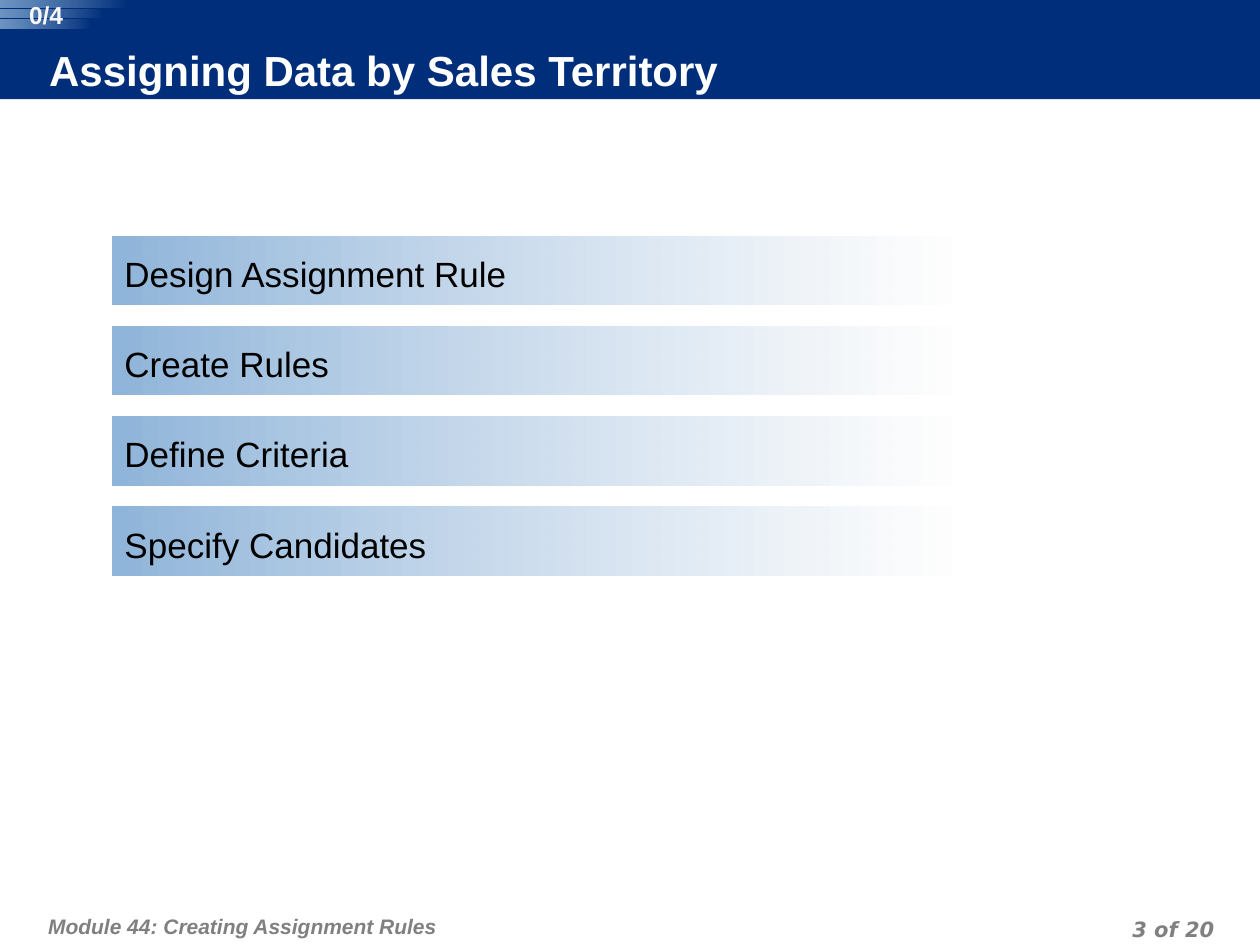
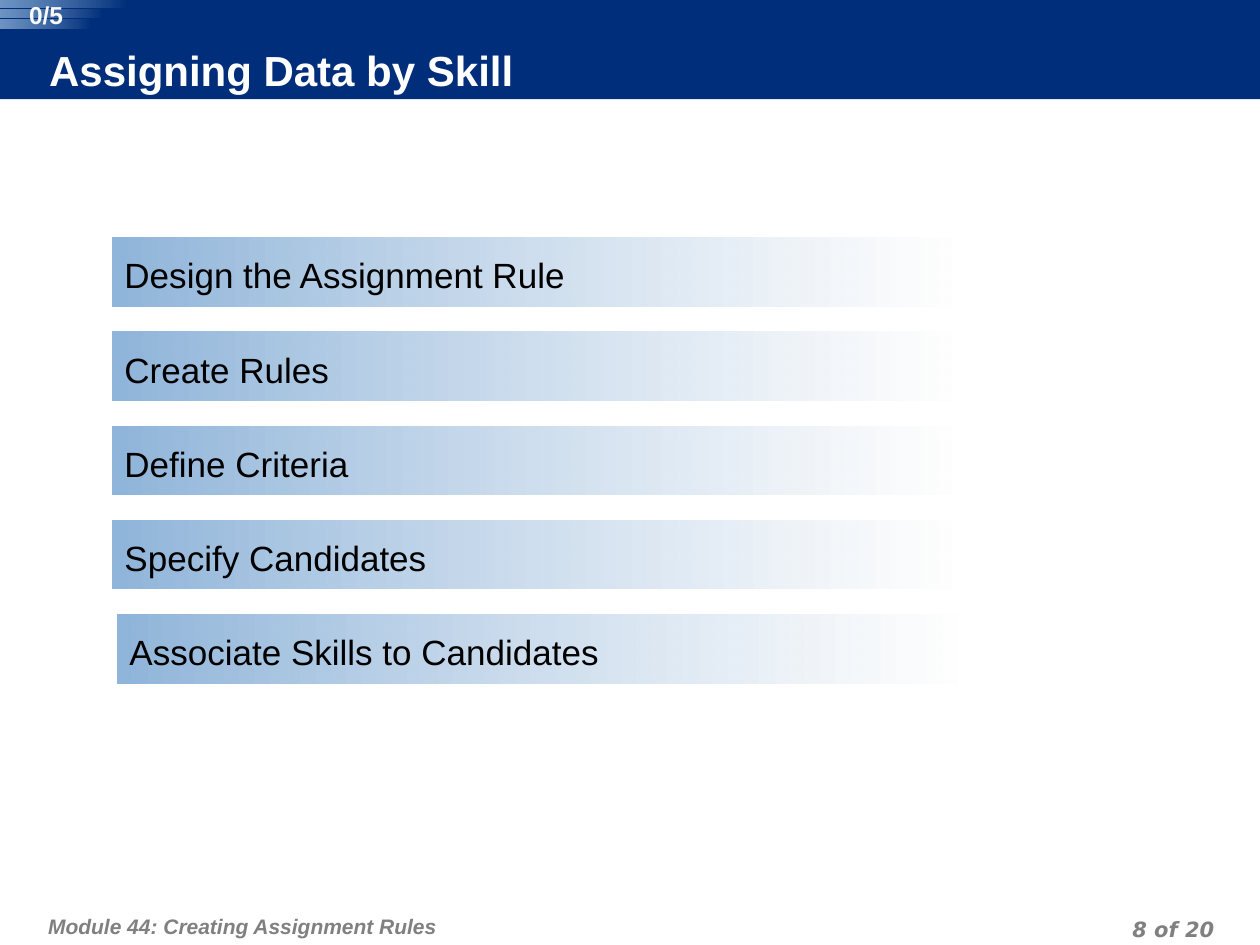
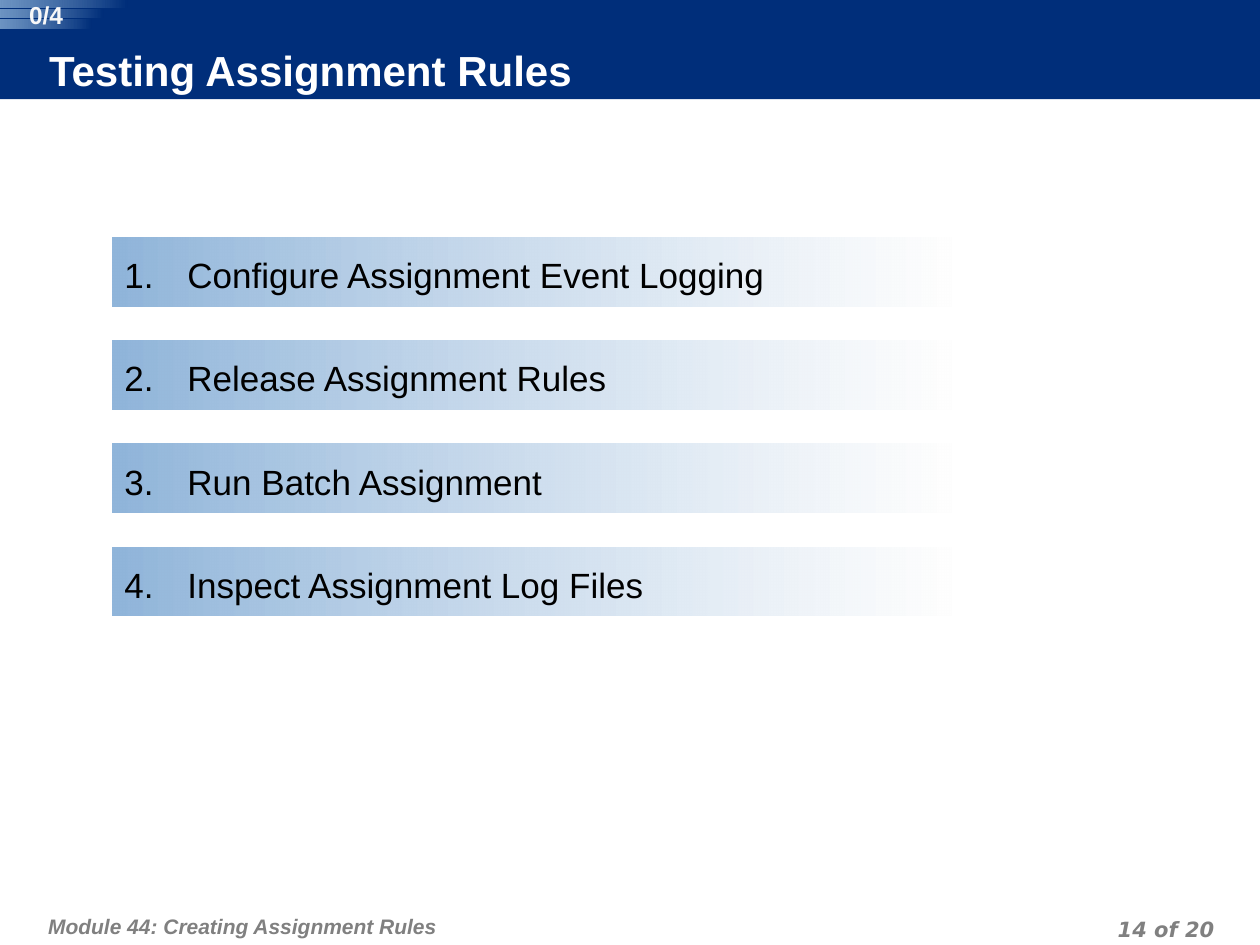
from lxml.etree import SubElement
from pptx import Presentation
from pptx.dml.color import RGBColor
from pptx.enum.shapes import MSO_SHAPE
from pptx.enum.text import MSO_ANCHOR, PP_ALIGN
from pptx.oxml.ns import qn
from pptx.util import Cm, Pt

COLORS = {
    "navy": "002E7A",
    "sky": "90B5DA",
    "fade": "FEFEFE",
    "title": "FFFFFF",
    "progress": "F8F8F8",
    "footer": "808080",
    "step": "000000",
}
FORMATS = {
    "title": {"name": "Arial", "size": Pt(24), "bold": True},
    "progress": {"name": "Arial", "size": Pt(14), "bold": True},
    "footer": {"name": "Arial", "size": Pt(12), "bold": True, "italic": True},
    "page number": {"name": "DejaVu Sans", "size": Pt(12), "bold": True, "italic": True},
    "step": {"name": "Arial", "size": Pt(20)},
}
MODULE = "Module 44: Creating Assignment Rules"
PAGE_COUNT = 20
STRIPES = [(0, 2.57, 0.15), (0.2, 2.08, 0.15), (0.4, 1.85, 0.18)]  # top, width, height
BAR_LEFT, BAR_WIDTH, BAR_HEIGHT = 2.26, 16.92, 1.38
HANGING_INDENT = Cm(1.27)

AGENDAS = [
    {
        "title": "Assigning Data by Sales Territory",
        "number": 3,
        "top": 4.76,
        "pitch": 1.82,
        "steps": ["Design Assignment Rule", "Create Rules", "Define Criteria",
                  "Specify Candidates"],
    },
    {
        "title": "Assigning Data by Skill",
        "number": 8,
        "top": 4.79,
        "pitch": 1.9,
        "last_shift": 0.1,
        "steps": ["Design the Assignment Rule", "Create Rules", "Define Criteria",
                  "Specify Candidates", "Associate Skills to Candidates"],
    },
    {
        "title": "Testing Assignment Rules",
        "number": 14,
        "top": 4.79,
        "pitch": 2.08,
        "numbered": True,
        "steps": ["Configure Assignment Event Logging", "Release Assignment Rules",
                  "Run Batch Assignment", "Inspect Assignment Log Files"],
    },
]


def rgb(color):
    return RGBColor.from_string(COLORS[color])


def lengths(values):
    return [Cm(value) for value in values]


def fill_solid(shape, color):
    shape.fill.solid()
    shape.fill.fore_color.rgb = rgb(color)


def fill_gradient(shape, stops):
    """Blend from right to left through (color, opacity percent) stops."""
    shape.fill.gradient()
    shape.fill.gradient_angle = 180
    for stop, (color, _) in zip(shape.fill.gradient_stops, stops):
        stop.color.rgb = rgb(color)
    tints = shape.fill._xPr.iter(qn("a:srgbClr"))
    for tint, (_, opacity) in zip(tints, stops):
        if opacity < 100:
            SubElement(tint, qn("a:alpha"), val=str(opacity * 1000))


def add_block(shapes, kind, place):
    block = shapes.add_shape(kind, *lengths(place))
    block.shadow.inherit = False
    block.line.fill.background()
    return block


def add_gradient_bar(shapes, place, stops):
    bar = add_block(shapes, MSO_SHAPE.ROUNDED_RECTANGLE, place)
    bar.adjustments[0] = 0
    fill_gradient(bar, stops)
    return bar


def write(shape, text, style, color, insets, align=PP_ALIGN.LEFT, anchor=MSO_ANCHOR.TOP):
    """Put one formatted paragraph in a shape; insets are left, top, right, bottom."""
    frame = shape.text_frame
    frame.word_wrap = True
    frame.vertical_anchor = anchor
    sides = ("margin_left", "margin_top", "margin_right", "margin_bottom")
    for side, inset in zip(sides, lengths(insets)):
        setattr(frame, side, inset)
    paragraph = frame.paragraphs[0]
    paragraph.alignment = align
    span = paragraph.add_run()
    span.text = text
    span.font.color.rgb = rgb(color)
    for attribute, value in FORMATS[style].items():
        setattr(span.font, attribute, value)
    return paragraph


def add_text(shapes, place, *content, **layout):
    box = shapes.add_textbox(*lengths(place))
    return box, write(box, *content, **layout)


def add_header(page, title):
    band = add_block(page.shapes, MSO_SHAPE.RECTANGLE, (0, 0, 25.4, 2))
    fill_solid(band, "navy")
    box, _ = add_text(page.shapes, (0.99, 0.97, 23.29, 1.02), title, "title", "title",
                      (0, 0, 0.13, 0.13), anchor=MSO_ANCHOR.MIDDLE)
    fill_solid(box, "navy")


def add_footer(page, number):
    _, module = add_text(page.shapes, (0.84, 18.03, 15.7, 1.02), MODULE,
                         "footer", "footer", (0.13, 0.25, 0.13, 0.13))
    _, counter = add_text(page.shapes, (18.69, 18.34, 5.92, 0.64),
                          f"{number} of {PAGE_COUNT}", "page number", "footer",
                          (0.13, 0, 0.13, 0), align=PP_ALIGN.RIGHT)
    for paragraph in (module, counter):
        paragraph.line_spacing = Pt(18)


def add_progress(page, total):
    group = page.shapes.add_group_shape()
    for top, width, height in STRIPES:
        add_gradient_bar(group.shapes, (0, top, width, height),
                         [("navy", 100), ("sky", 76)])
    add_text(group.shapes, (0.28, 0, 1.3, 0.58), f"0/{total}", "progress", "progress",
             (0, 0, 0, 0), align=PP_ALIGN.CENTER)


def hang(paragraph, number=None):
    """Set a hanging indent, with an automatic number when one is given."""
    properties = paragraph._p.get_or_add_pPr()
    properties.set("marL", str(HANGING_INDENT))
    properties.set("indent", str(-HANGING_INDENT))
    if number:
        SubElement(properties, qn("a:buFont"), typeface="Arial")
        SubElement(properties, qn("a:buAutoNum"), type="arabicPeriod", startAt=str(number))


def add_steps(page, agenda):
    steps = agenda["steps"]
    for index, step in enumerate(steps):
        is_last = index == len(steps) - 1
        left = BAR_LEFT + (agenda.get("last_shift", 0) if is_last else 0)
        top = agenda["top"] + index * agenda["pitch"]
        bar = add_gradient_bar(page.shapes, (left, top, BAR_WIDTH, BAR_HEIGHT),
                               [("fade", 75), ("sky", 100)])
        paragraph = write(bar, step, "step", "step", (0.25, 0.25, 0.25, 0.13),
                          anchor=MSO_ANCHOR.MIDDLE)
        hang(paragraph, index + 1 if agenda.get("numbered") else None)


def main():
    deck = Presentation()
    deck.slide_width, deck.slide_height = Cm(25.4), Cm(19.05)
    blank = deck.slide_layouts[6]
    for agenda in AGENDAS:
        page = deck.slides.add_slide(blank)
        add_header(page, agenda["title"])
        add_footer(page, agenda["number"])
        add_steps(page, agenda)
        add_progress(page, len(agenda["steps"]))
    deck.save("out.pptx")


if __name__ == "__main__":
    main()
